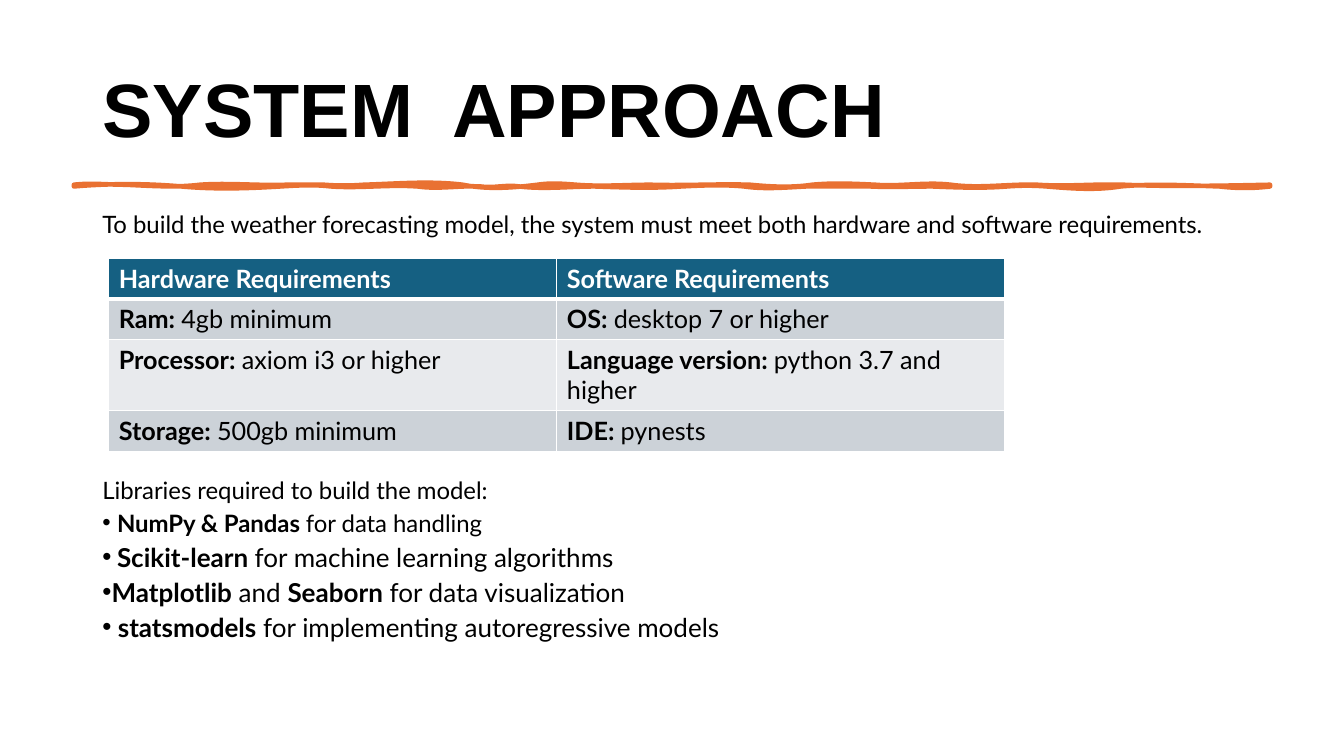
from dataclasses import dataclass

from lxml.etree import SubElement
from pptx import Presentation
from pptx.dml.color import RGBColor
from pptx.enum.text import MSO_ANCHOR, MSO_AUTO_SIZE, PP_ALIGN
from pptx.oxml.ns import qn
from pptx.util import Inches, Pt


@dataclass(frozen=True)
class Theme:
    ink: str = "000000"
    paper: str = "FFFFFF"
    accent: str = "E97132"
    header: str = "156082"
    bands: tuple = ("CCD2D8", "E8EAED")
    title_font: str = "Arial"
    body_font: str = "Lato"
    title_size: float = 54
    table_size: float = 18
    body_size: float = 17.1
    list_size: float = 18.6
    table_gap: float = 169.5
    stroke_width: float = 3.25


TITLE = "SYSTEM  APPROACH"
INTRO = ("To build the weather forecasting model, the system must meet both "
         "hardware and software requirements.")
LIBRARIES_LEAD = "Libraries required to build the model:"
HEADERS = ("Hardware Requirements", "Software Requirements")
REQUIREMENTS = (
    (("Ram: ", "4gb minimum"), ("OS: ", "desktop 7 or higher")),
    (("Processor: ", "axiom i3 or higher"), ("Language version: ", "python 3.7 and higher")),
    (("Storage: ", "500gb minimum"), ("IDE: ", "pynests")),
)
ROW_HEIGHTS = (4.8, 4.8, 8.5, 4.8)

STROKE_LEFT, STROKE_RIGHT = 8.8, 151.2
UPPER_LEVEL, LOWER_LEVEL = 22, 22.2
UPPER_EDGE = (
    (14.9, -2, 0), (23.8, 1, 3), (34.1, -2, 1), (38.6, 0, 0), (43.3, 1, 1),
    (55.1, -1, -4), (64, 5, 3), (68.6, -2, -1), (77.5, 2, 0), (89.3, 1, -1),
    (96.7, 2, 3), (104.2, -2, -1), (113.2, 2, -3), (123.5, 4, -1),
    (133.8, 2, -1), (STROKE_RIGHT, 2, 1),
)
LOWER_EDGE = (
    (145.2, 2, 2), (133.4, -1, -3), (124.6, 4, 2), (119.9, -1, -1),
    (111, 2, 1), (103.6, 0, 1), (96, 0, 0), (88.6, 1, 3), (81.1, -2, -1),
    (70.8, 2, 1), (61.8, 0, 3), (57.2, -2, 2), (49.7, -1, 3), (39.4, -2, 2),
    (33.4, -2, -1), (21.6, 2, 3), (STROKE_LEFT, -3, -3),
)


def wavy_edge(start, level, waves):
    points = []
    for end, lead, trail in waves:
        third = (end - start) / 3
        points += [(start + third, level + 0.12 * lead),
                   (end - third, level + 0.12 * trail), (end, level)]
        start = end
    return points


class SlideBuilder:
    COLUMNS, ROWS = 160, 90

    def __init__(self, deck, theme):
        self.deck = deck
        self.theme = theme
        self.page = deck.slides.add_slide(deck.slide_layouts[5])

    def across(self, columns):
        return round(self.deck.slide_width * columns / self.COLUMNS)

    def down(self, rows):
        return round(self.deck.slide_height * rows / self.ROWS)

    def area(self, left, top, width, height):
        return self.across(left), self.down(top), self.across(width), self.down(height)

    def span(self, para, text, size, bold=False, color=None, font=None):
        span = para.add_run()
        span.text = text
        span.font.size = Pt(size)
        span.font.bold = bold
        span.font.name = font or self.theme.body_font
        span.font.color.rgb = RGBColor.from_string(color or self.theme.ink)

    def title(self, text, *place):
        box = self.page.shapes.title
        box.left, box.top, box.width, box.height = self.area(*place)
        frame = box.text_frame
        frame.vertical_anchor = MSO_ANCHOR.MIDDLE
        frame.auto_size = MSO_AUTO_SIZE.NONE
        para = frame.paragraphs[0]
        para.alignment = PP_ALIGN.LEFT
        para.line_spacing = 0.9
        self.span(para, text, self.theme.title_size, True, font=self.theme.title_font)

    def stroke(self, start, points):
        outline = self.page.shapes.build_freeform(self.across(start[0]), self.down(start[1]))
        outline.add_line_segments([(self.across(x), self.down(y)) for x, y in points], close=True)
        shape = outline.convert_to_shape()
        segments = list(shape._element.iter(qn("a:lnTo")))
        for first in range(0, len(points), 3):
            curve = segments[first]
            curve.tag = qn("a:cubicBezTo")
            for segment in segments[first + 1:first + 3]:
                curve.append(segment[0])
                segment.getparent().remove(segment)
        for extra in segments[len(points):]:
            extra.getparent().remove(extra)
        shape.shadow.inherit = False
        color = RGBColor.from_string(self.theme.accent)
        shape.fill.solid()
        shape.fill.fore_color.rgb = color
        shape.line.color.rgb = color
        shape.line.width = Pt(self.theme.stroke_width)

    def text(self, *place):
        frame = self.page.shapes.add_textbox(*self.area(*place)).text_frame
        frame.word_wrap = True
        return frame

    def paragraph(self, frame, spans, size, indent=None, before=None):
        first = frame.paragraphs[0]
        para = frame.add_paragraph() if first.runs else first
        para.line_spacing = 0.7
        para.space_before = Pt(before or size * 0.19)
        para.space_after = Pt(6)
        if indent:
            props = para._p.get_or_add_pPr()
            props.set("marL", str(self.across(indent)))
            props.set("indent", str(-self.across(indent)))
            SubElement(props, qn("a:buFont"), typeface=self.theme.title_font)
            SubElement(props, qn("a:buChar"), char="•")
        for text, bold in spans:
            self.span(para, text, size, bold)

    def cell(self, cell, spans, fill, color, bottom=1):
        props = cell._tc.get_or_add_tcPr()
        for side, width in (("L", 1), ("R", 1), ("T", 1), ("B", bottom)):
            border = SubElement(props, qn(f"a:ln{side}"), w=str(Pt(width)))
            paint = SubElement(border, qn("a:solidFill"))
            SubElement(paint, qn("a:srgbClr"), val=self.theme.paper)
        cell.fill.solid()
        cell.fill.fore_color.rgb = RGBColor.from_string(fill)
        for text, bold in spans:
            self.span(cell.text_frame.paragraphs[0], text, self.theme.table_size, bold, color)

    def table(self, headers, rows, heights, left, top, width):
        theme = self.theme
        place = self.area(left, top, width, sum(heights))
        table = self.page.shapes.add_table(len(heights), len(headers), *place).table
        table.horz_banding = False
        for row, height in zip(table.rows, heights):
            row.height = self.down(height)
        for column, header in enumerate(headers):
            self.cell(table.cell(0, column), [(header, True)], theme.header, theme.paper, 3)
        for index, row in enumerate(rows):
            for column, (label, value) in enumerate(row):
                self.cell(table.cell(index + 1, column), [(label, True), (value, False)],
                          theme.bands[index % 2], theme.ink)


def main():
    deck = Presentation()
    deck.slide_width, deck.slide_height = Inches(13.33), Inches(7.5)
    theme = Theme()
    builder = SlideBuilder(deck, theme)
    builder.title(TITLE, 11, 4.8, 138, 17.4)
    builder.stroke((STROKE_LEFT, UPPER_LEVEL),
                   wavy_edge(STROKE_LEFT, UPPER_LEVEL, UPPER_EDGE)
                   + [(STROKE_RIGHT, LOWER_LEVEL)] * 3
                   + wavy_edge(STROKE_RIGHT, LOWER_LEVEL, LOWER_EDGE))

    body = builder.text(11, 25.3, 138, 55.8)
    builder.paragraph(body, [(INTRO, False)], theme.body_size)
    builder.paragraph(body, [(LIBRARIES_LEAD, False)], theme.body_size, before=theme.table_gap)
    items = (
        (theme.body_size, 1.75, [("NumPy & Pandas ", True), ("for data handling", False)]),
        (theme.list_size, 1.75, [("Scikit-learn ", True),
                                 ("for machine learning algorithms", False)]),
        (theme.list_size, 1.1, [("Matplotlib", True), (" and ", False), ("Seaborn", True),
                                (" for data visualization", False)]),
        (theme.list_size, 1.85, [("statsmodels", True),
                                 (" for implementing autoregressive models", False)]),
    )
    for size, indent, spans in items:
        builder.paragraph(body, spans, size, indent)
    builder.table(HEADERS, REQUIREMENTS, ROW_HEIGHTS, 12.95, 30.8, 106.7)
    deck.save("out.pptx")


if __name__ == "__main__":
    main()
